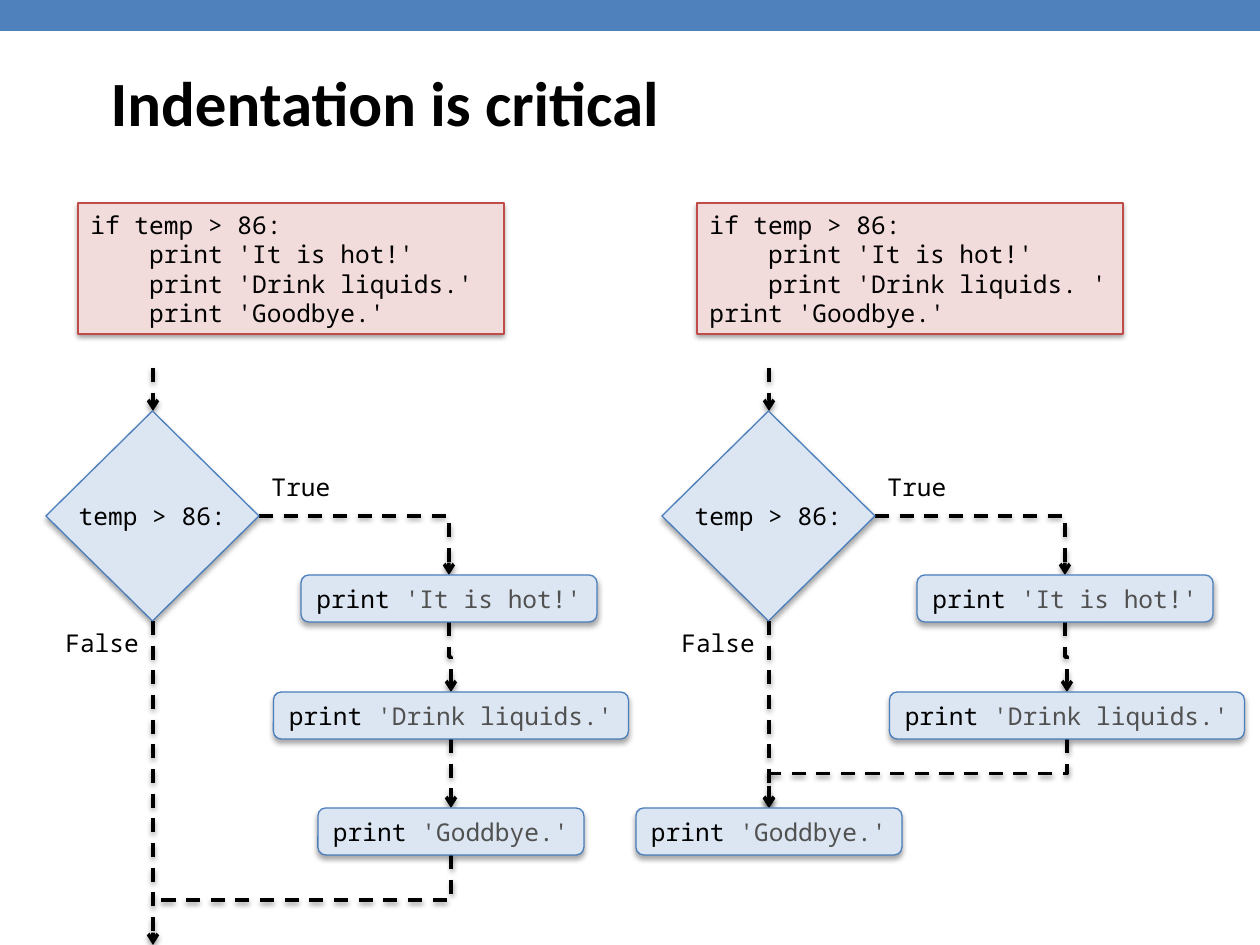
from lxml.etree import SubElement
from pptx import Presentation
from pptx.dml.color import RGBColor
from pptx.enum.dml import MSO_LINE
from pptx.enum.shapes import MSO_CONNECTOR, MSO_SHAPE
from pptx.enum.text import MSO_ANCHOR, MSO_AUTO_SIZE, PP_ALIGN
from pptx.oxml.ns import qn
from pptx.util import Emu, Pt

COLORS = {
    "bar": "4F81BD", "code_fill": "F2DCDB", "code_line": "BF4C48",
    "node_fill": "DCE6F2", "node_line": "4B7EBC",
    "black": "000000", "string": "505150",
}
MONO = "Noto Sans Mono"
NODE_H = 47


def px(n):
    return Emu(round(n * 914400 / 126))


def rgb(name):
    return RGBColor.from_string(COLORS[name])


def write(sp, lines, size=14, font=MONO, bold=False, align=PP_ALIGN.LEFT, wrap=False):
    """Fill a shape with lines, each a list of (text, colour name) runs."""
    tf = sp.text_frame
    tf.word_wrap = wrap
    tf.auto_size = MSO_AUTO_SIZE.NONE
    tf.vertical_anchor = MSO_ANCHOR.MIDDLE
    for i, runs in enumerate(lines):
        p = tf.add_paragraph() if i else tf.paragraphs[0]
        p.alignment = align
        for text, color in runs:
            r = p.add_run()
            r.text = text
            r.font.size, r.font.name, r.font.bold = Pt(size), font, bold
            r.font.color.rgb = rgb(color)


def add_shadow(sp, alpha=38, dist=1.6):
    """Give a shape or connector a soft shadow below; call after its line is set."""
    effects = SubElement(sp._element.spPr, qn("a:effectLst"))
    shadow = SubElement(effects, qn("a:outerShdw"), blurRad=str(Pt(3.1)),
                        dist=str(Pt(dist)), dir="5400000", rotWithShape="0")
    color = SubElement(shadow, qn("a:srgbClr"), val=COLORS["black"])
    SubElement(color, qn("a:alpha"), val=str(alpha * 1000))


def add_box(s, kind, x, y, w, h, fill, line, **shadow):
    sp = s.shapes.add_shape(kind, px(x), px(y), px(w), px(h))
    sp.fill.solid()
    sp.fill.fore_color.rgb = rgb(fill)
    sp.line.color.rgb = rgb(line)
    sp.line.width = Pt(0.75)
    add_shadow(sp, **shadow)
    return sp


def add_label(s, text, x, y, w, h=43):
    sp = s.shapes.add_textbox(px(x), px(y), px(w), px(h))
    write(sp, [[(text, "black")]])


def style_flow(c, arrow):
    c.line.color.rgb = rgb("black")
    c.line.width = Pt(2)
    c.line.dash_style = MSO_LINE.DASH
    if arrow:
        SubElement(c.line._get_or_add_ln(), qn("a:tailEnd"), type="arrow")
    add_shadow(c)


def add_straight(s, x1, y1, x2, y2):
    c = s.shapes.add_connector(MSO_CONNECTOR.STRAIGHT, px(x1), px(y1), px(x2), px(y2))
    style_flow(c, arrow=True)


def add_elbow(s, x1, y1, x2, y2, geom="bentConnector3", down_first=True, arrow=True):
    """Bent connector; one that sets out downwards is a sideways one turned by 90 degrees."""
    rotation = 0
    if down_first:
        cx, cy = (x1 + x2) / 2, (y1 + y2) / 2
        half_w, half_h = (y2 - y1) / 2, abs(x2 - x1) / 2
        rotation = 90
        if x2 > x1:
            rotation, half_w = 270, -half_w
        x1, y1, x2, y2 = cx - half_w, cy - half_h, cx + half_w, cy + half_h
    c = s.shapes.add_connector(MSO_CONNECTOR.ELBOW, px(x1), px(y1), px(x2), px(y2))
    spPr = c._element.spPr
    spPr.find(qn("a:prstGeom")).set("prst", geom)
    spPr.find(qn("a:xfrm")).set("rot", str(rotation * 60000))
    style_flow(c, arrow)


def add_header(s, title):
    bar = s.shapes.add_shape(MSO_SHAPE.RECTANGLE, 0, 0, px(1260), px(31))
    bar.fill.solid()
    bar.fill.fore_color.rgb = rgb("bar")
    bar.line.fill.background()
    bar.shadow.inherit = False
    sp = s.shapes.title
    sp.left, sp.top, sp.width, sp.height = px(98), px(0), px(1071), px(203)
    write(sp, [[(title, "black")]], size=36, font="Calibri", bold=True, wrap=True)


def add_code(s, x, y, lines):
    sp = add_box(s, MSO_SHAPE.RECTANGLE, x, y, 426, 131, "code_fill", "code_line")
    write(sp, [[(line, "black")] for line in lines])


def add_print(s, cx, y, w, string):
    sp = add_box(s, MSO_SHAPE.FLOWCHART_ALTERNATE_PROCESS, cx - w / 2, y, w, NODE_H,
                 "node_fill", "node_line", alpha=35, dist=1.8)
    write(sp, [[("print ", "black"), (string, "string")]], align=PP_ALIGN.CENTER)


def add_flowchart(s, x, y, goodbye_in_branch):
    """Flowchart whose left edge is the diamond's and whose top is the entry arrow's."""
    main, hot, branch = x + 107, x + 403, x + 405
    top, middle, bottom = y + 43, y + 148, y + 253
    hot_y, drink_y, bye_y = y + 207, y + 324, y + 440
    drink_end = drink_y + NODE_H

    add_straight(s, main, y, main, top)
    add_straight(s, main, bottom, main, y + 577 if goodbye_in_branch else bye_y)
    add_elbow(s, x + 213, middle, hot, hot_y, "bentConnector2", down_first=False)
    add_elbow(s, hot, hot_y + NODE_H, branch, drink_y)
    if goodbye_in_branch:
        add_straight(s, branch, drink_end, branch, bye_y)
        add_elbow(s, branch, bye_y + NODE_H, main, y + 532, "bentConnector2", arrow=False)
    else:
        add_elbow(s, branch, drink_end, main, bye_y)

    diamond = add_box(s, MSO_SHAPE.FLOWCHART_DECISION, x, top, 213, bottom - top,
                      "node_fill", "node_line", alpha=35, dist=1.8)
    write(diamond, [[("temp > 86:", "black")]], align=PP_ALIGN.CENTER)
    add_print(s, hot, hot_y, 296, "'It is hot!'")
    add_print(s, branch, drink_y, 355, "'Drink liquids.'")
    add_print(s, branch if goodbye_in_branch else main, bye_y, 266, "'Goddbye.'")
    add_label(s, "True", x + 213, y + 97, 84)
    add_label(s, "False", x + 7, bottom, 100)


def main():
    prs = Presentation()
    prs.slide_width, prs.slide_height = px(1260), px(945)
    s = prs.slides.add_slide(prs.slide_layouts[5])
    add_header(s, "Indentation is critical")
    add_code(s, 78, 203, ["if temp > 86:", "    print 'It is hot!'",
                          "    print 'Drink liquids.'", "    print 'Goodbye.'"])
    add_code(s, 697, 203, ["if temp > 86:", "    print 'It is hot!'",
                           "    print 'Drink liquids. '", "print 'Goodbye.'"])
    add_flowchart(s, 46, 368, goodbye_in_branch=True)
    add_flowchart(s, 662, 368, goodbye_in_branch=False)
    prs.save("out.pptx")


if __name__ == "__main__":
    main()
